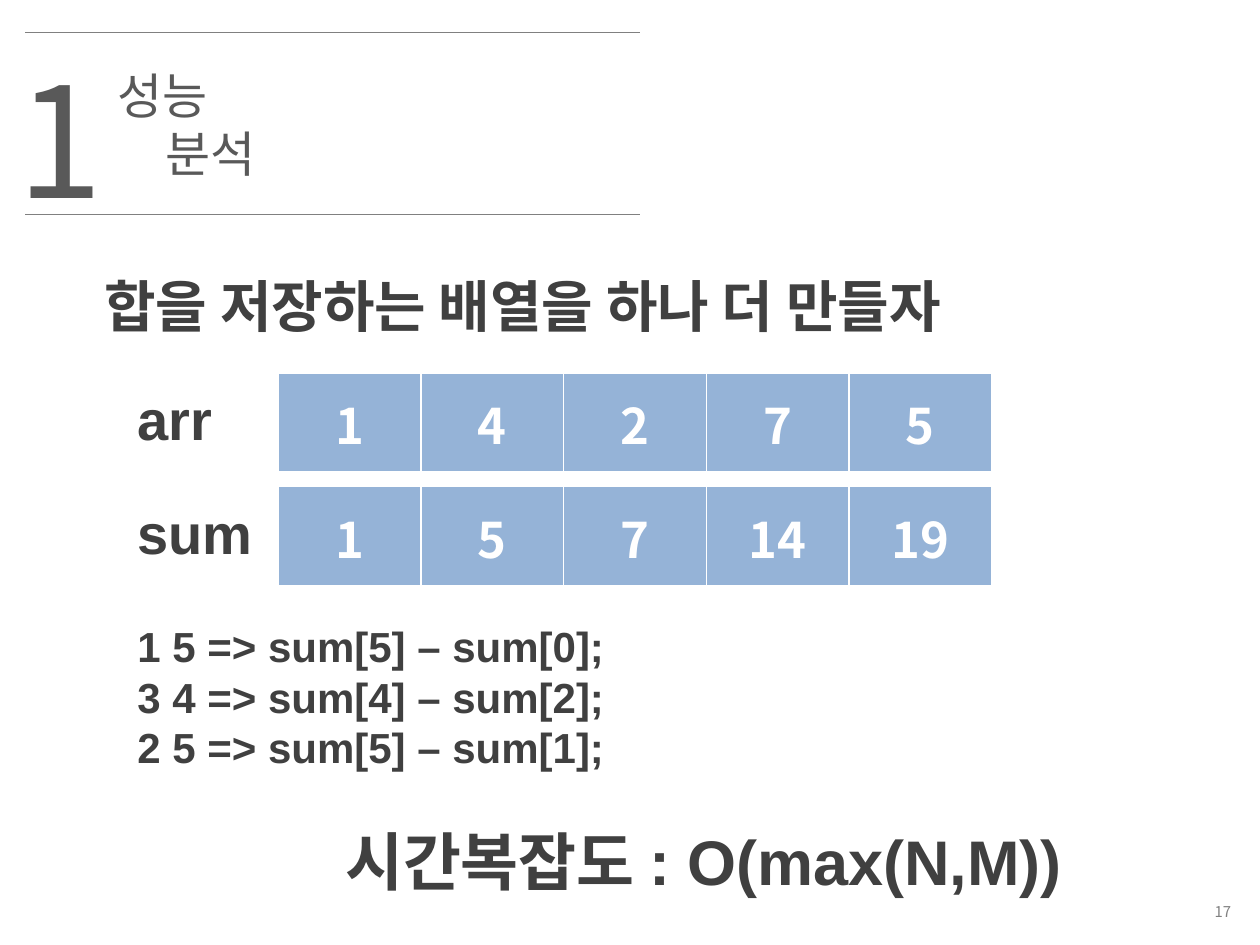
from dataclasses import dataclass

from lxml import etree
from pptx import Presentation, util as u
from pptx.dml.color import RGBColor
from pptx.enum import shapes, text
from pptx.oxml import ns


@dataclass(frozen=True)
class Theme:
    latin: str = "Arial"
    korean: str = "Noto Sans CJK KR"
    heading: str = "595959"
    ink: str = "404040"
    muted: str = "808080"
    cell: str = "95B3D7"
    white: str = "FFFFFF"
    number_size: float = 88
    closing_size: float = 36
    label_size: float = 32
    title_size: float = 28
    list_size: float = 24
    footer_size: float = 8.5
    latin_leading: float = 1.2
    korean_leading: float = 1.28
    title_leading: float = 1.18


THEME = Theme()


def write(frame, content, *, size, color, font=THEME.latin, bold=False, leading=None,
          align=text.PP_ALIGN.LEFT, anchor=text.MSO_ANCHOR.TOP, hanging=0):
    """Fill a text frame with one paragraph per line in a single format."""
    frame.word_wrap = True
    frame.auto_size = text.MSO_AUTO_SIZE.NONE
    frame.vertical_anchor = anchor
    for index, line in enumerate(content.split("\n")):
        para = frame.paragraphs[0] if index == 0 else frame.add_paragraph()
        para.alignment = align
        para.space_before = para.space_after = u.Pt(0)
        if leading:
            para.line_spacing = u.Pt(round(size * leading))
        properties = para._p.get_or_add_pPr()
        properties.set("marL", str(u.Inches(hanging)))
        properties.set("indent", str(-u.Inches(hanging)))
        etree.SubElement(properties, ns.qn("a:buNone"))
        span = para.add_run()
        span.text = line
        span.font.name = font
        span.font.size = u.Pt(size)
        span.font.bold = bold
        span.font.color.rgb = RGBColor.from_string(color)
        east = etree.SubElement(span._r.get_or_add_rPr(), ns.qn("a:ea"))
        east.set("typeface", THEME.korean)


class Slide:
    """Draws styled elements on the current page."""

    def __init__(self, deck, theme):
        self.theme = theme
        self.page = deck.slides.add_slide(deck.slide_layouts[1])

    def place(self, box, area, content, **style):
        box.left, box.top, box.width, box.height = map(u.Inches, area)
        write(box.text_frame, content, **style)
        return box

    def title(self, area, content):
        box = self.place(self.page.shapes.title, area, content, size=self.theme.title_size,
                         color=self.theme.heading, font=self.theme.korean,
                         leading=self.theme.title_leading, hanging=0.38)
        box.text_frame.margin_top = u.Inches(0.09)

    def body(self, area, lines):
        self.place(self.page.placeholders[1], area, "\n".join(lines), size=self.theme.list_size,
                   color=self.theme.ink, bold=True, leading=self.theme.latin_leading)

    def label(self, area, content, **style):
        box = self.page.shapes.add_textbox(0, 0, 0, 0)
        self.place(box, area, content, **style)

    def rule(self, left, right, top):
        line = self.page.shapes.add_connector(
            shapes.MSO_CONNECTOR.STRAIGHT,
            u.Inches(left), u.Inches(top), u.Inches(right), u.Inches(top))
        line.line.color.rgb = RGBColor.from_string(self.theme.muted)
        line.line.width = u.Pt(0.75)
        etree.SubElement(line._element.spPr, ns.qn("a:effectLst"))

    def border(self, cell):
        properties = cell._tc.get_or_add_tcPr()
        for side, width in (("L", 1), ("R", 1), ("T", 1), ("B", 3)):
            edge = etree.SubElement(properties, ns.qn(f"a:ln{side}"), w=str(u.Pt(width)))
            fill = etree.SubElement(edge, ns.qn("a:solidFill"))
            etree.SubElement(fill, ns.qn("a:srgbClr"), val=self.theme.white)

    def array(self, area, values):
        grid = self.page.shapes.add_table(1, len(values), *map(u.Inches, area)).table
        for cell, value in zip(grid.rows[0].cells, values):
            self.border(cell)
            cell.fill.solid()
            cell.fill.fore_color.rgb = RGBColor.from_string(self.theme.cell)
            cell.vertical_anchor = text.MSO_ANCHOR.MIDDLE
            para = cell.text_frame.paragraphs[0]
            para.alignment = text.PP_ALIGN.CENTER
            span = para.add_run()
            span.text = str(value)
            span.font.name = self.theme.korean
            span.font.size = u.Pt(self.theme.title_size)
            span.font.bold = True
            span.font.color.rgb = RGBColor.from_string(self.theme.white)


def main():
    deck = Presentation()
    deck.slide_width, deck.slide_height = u.Inches(10), u.Inches(7.5)
    slide = Slide(deck, THEME)
    strong = {"color": THEME.ink, "bold": True}

    slide.label((7.76, 7.1, 2.11, 0.27), "17", size=THEME.footer_size, color=THEME.muted,
                font=THEME.korean, align=text.PP_ALIGN.RIGHT, anchor=text.MSO_ANCHOR.MIDDLE)
    slide.title((0.83, 0.44, 1.6, 0.57), "성능 분석")
    slide.label((0.04, 0.2, 0.79, 1.58), "1", size=THEME.number_size, color=THEME.heading,
                font=THEME.korean, leading=THEME.korean_leading, hanging=0.38)
    for top in (0.26, 1.7):
        slide.rule(0.2, 5.08, top)

    slide.label((0.73, 2.07, 8.7, 0.64), "합을 저장하는 배열을 하나 더 만들자",
                size=THEME.label_size, leading=THEME.korean_leading, **strong)
    arrays = {"arr": (1, 4, 2, 7, 5), "sum": (1, 5, 7, 14, 19)}
    for row, (name, values) in enumerate(arrays.items()):
        top = 2.96 + 0.9 * row
        slide.array((2.21, top, 5.66, 0.8), values)
        slide.label((0.99, top + 0.05, 1.18, 0.64), name, size=THEME.label_size,
                    leading=THEME.latin_leading, **strong)

    queries = ((1, 5), (3, 4), (2, 5))
    slide.body((0.99, 4.87, 6.85, 1.31),
               [f"{first} {last} => sum[{last}] – sum[{first - 1}];" for first, last in queries])
    slide.label((2.64, 6.44, 6.22, 0.71), "시간복잡도 : O(max(N,M))",
                size=THEME.closing_size, leading=THEME.korean_leading, **strong)
    deck.save("out.pptx")


if __name__ == "__main__":
    main()
